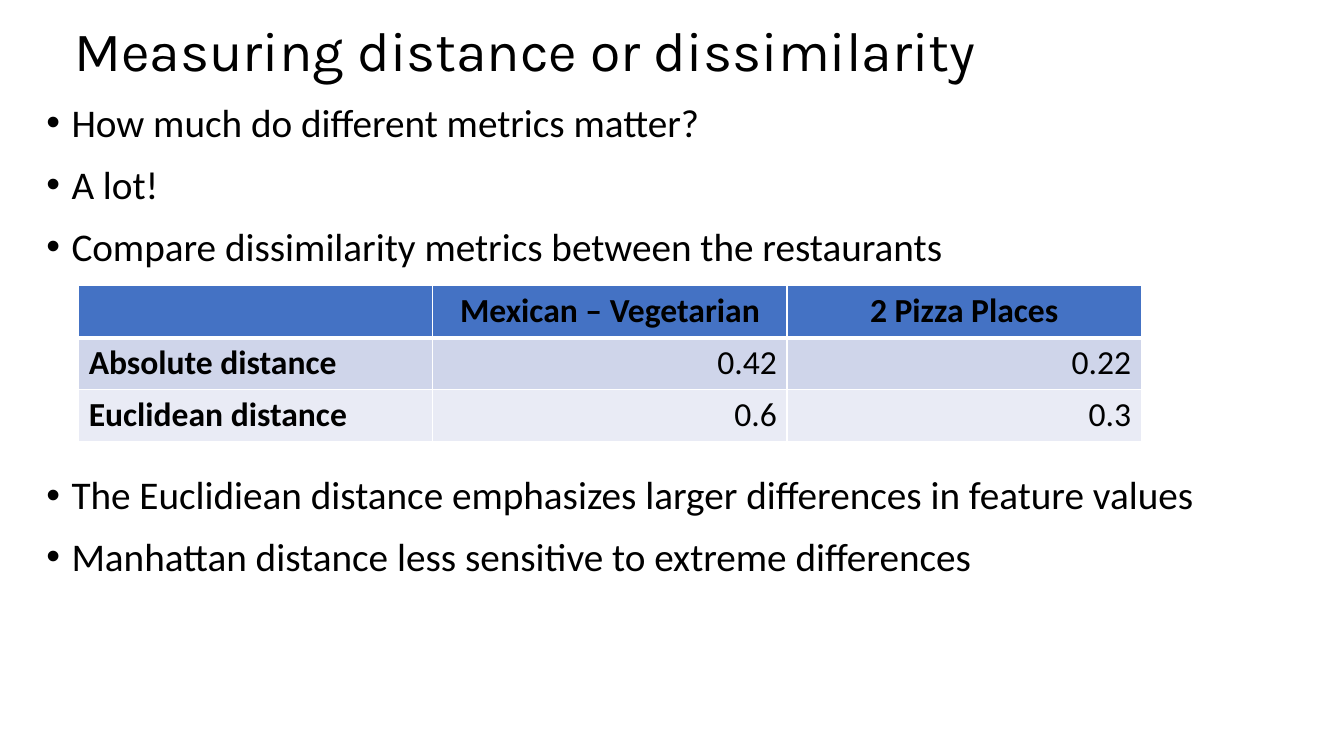
from lxml import etree
from pptx import Presentation
from pptx.dml import color
from pptx.enum import text
from pptx.oxml import ns
from pptx.util import Pt

COLORS = {
    "ink": "000000",
    "header": "4472C4",
    "band_dark": "CFD5EA",
    "band_light": "E9EBF5",
    "border": "FFFFFF",
}
TITLE = "Measuring distance or dissimilarity"
BULLETS = [
    ("How much do different metrics matter?", 14),
    ("A lot!", 14),
    ("Compare dissimilarity metrics between the restaurants", 14),
    ("The Euclidiean distance emphasizes larger differences in feature values", 147),
    ("Manhattan distance less sensitive to extreme differences", 14),
]
METRICS = [
    ["", "Mexican – Vegetarian", "2 Pizza Places"],
    ["Absolute distance", "0.42", "0.22"],
    ["Euclidean distance", "0.6", "0.3"],
]


def rgb(name):
    return color.RGBColor.from_string(COLORS[name])


def add_run(p, content, size, font="Calibri", bold=False):
    r = p.add_run()
    r.text = content
    r.font.size = Pt(size)
    r.font.name = font
    r.font.bold = bold
    r.font.color.rgb = rgb("ink")


def add_text_frame(s, box):
    tf = s.shapes.add_textbox(*map(Pt, box)).text_frame
    tf.word_wrap = True
    return tf


def add_title(s, box):
    tf = add_text_frame(s, box)
    tf.vertical_anchor = text.MSO_ANCHOR.MIDDLE
    p = tf.paragraphs[0]
    p.line_spacing = 0.9
    add_run(p, TITLE, 39.6, "Karla")


def set_bullet(p, indent):
    pPr = p._p.get_or_add_pPr()
    pPr.set("marL", str(Pt(indent)))
    pPr.set("indent", str(-Pt(indent)))
    etree.SubElement(pPr, ns.qn("a:buFont"), typeface="Arial")
    etree.SubElement(pPr, ns.qn("a:buChar"), char="•")


def add_bullets(s, box):
    tf = add_text_frame(s, box)
    for i, (content, space) in enumerate(BULLETS):
        p = tf.add_paragraph() if i else tf.paragraphs[0]
        p.line_spacing = 0.9
        p.space_before = Pt(space)
        set_bullet(p, 18)
        add_run(p, content, 28)


def set_borders(cell, widths):
    tcPr = cell._tc.get_or_add_tcPr()
    for i, (side, width) in enumerate(widths.items()):
        ln = etree.Element(ns.qn("a:ln" + side), w=str(Pt(width)))
        fill = etree.SubElement(ln, ns.qn("a:solidFill"))
        etree.SubElement(fill, ns.qn("a:srgbClr"), val=COLORS["border"])
        tcPr.insert(i, ln)


def add_metrics_table(s, box):
    left, top, width, height = box
    rows, cols = len(METRICS), len(METRICS[0])
    table = s.shapes.add_table(rows, cols, *map(Pt, box)).table
    for col in table.columns:
        col.width = Pt(width / cols)
    for row in table.rows:
        row.height = Pt(height / rows)
    fills = ["header", "band_dark", "band_light"]
    for i, values in enumerate(METRICS):
        for j, value in enumerate(values):
            cell = table.cell(i, j)
            cell.fill.solid()
            cell.fill.fore_color.rgb = rgb(fills[i])
            set_borders(cell, {"L": 1, "R": 1,
                               "T": 3 if i == 1 else 1,
                               "B": 3 if i == 0 else 1})
            if not value:
                continue
            p = cell.text_frame.paragraphs[0]
            if i == 0:
                p.alignment = text.PP_ALIGN.CENTER
            elif j > 0:
                p.alignment = text.PP_ALIGN.RIGHT
            add_run(p, value, 24, bold=i == 0 or j == 0)


def main():
    prs = Presentation()
    prs.slide_width, prs.slide_height = Pt(960), Pt(540)
    s = prs.slides.add_slide(prs.slide_layouts[6])
    add_title(s, (46, 17.3, 828, 41.8))
    add_bullets(s, (26, 70.5, 907, 448.5))
    add_metrics_table(s, (56.2, 204, 759, 111.6))
    prs.save("out.pptx")


if __name__ == "__main__":
    main()
